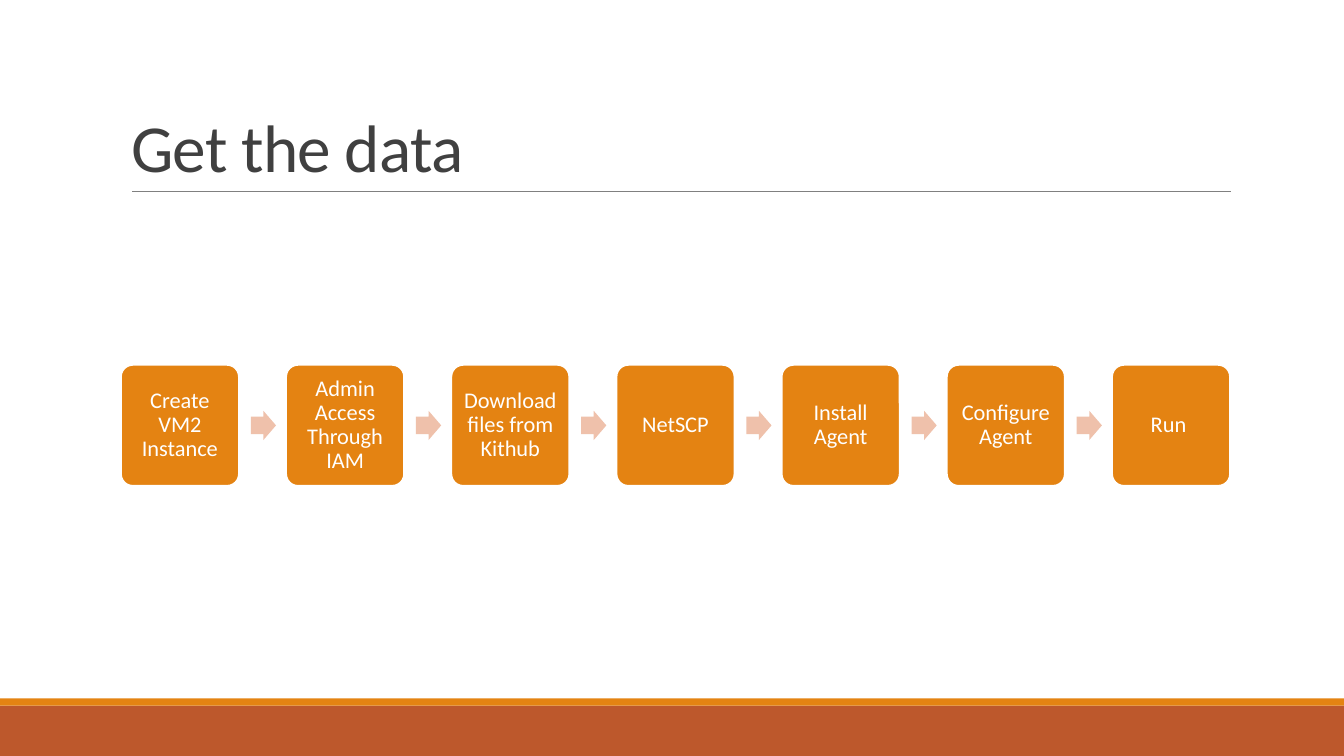
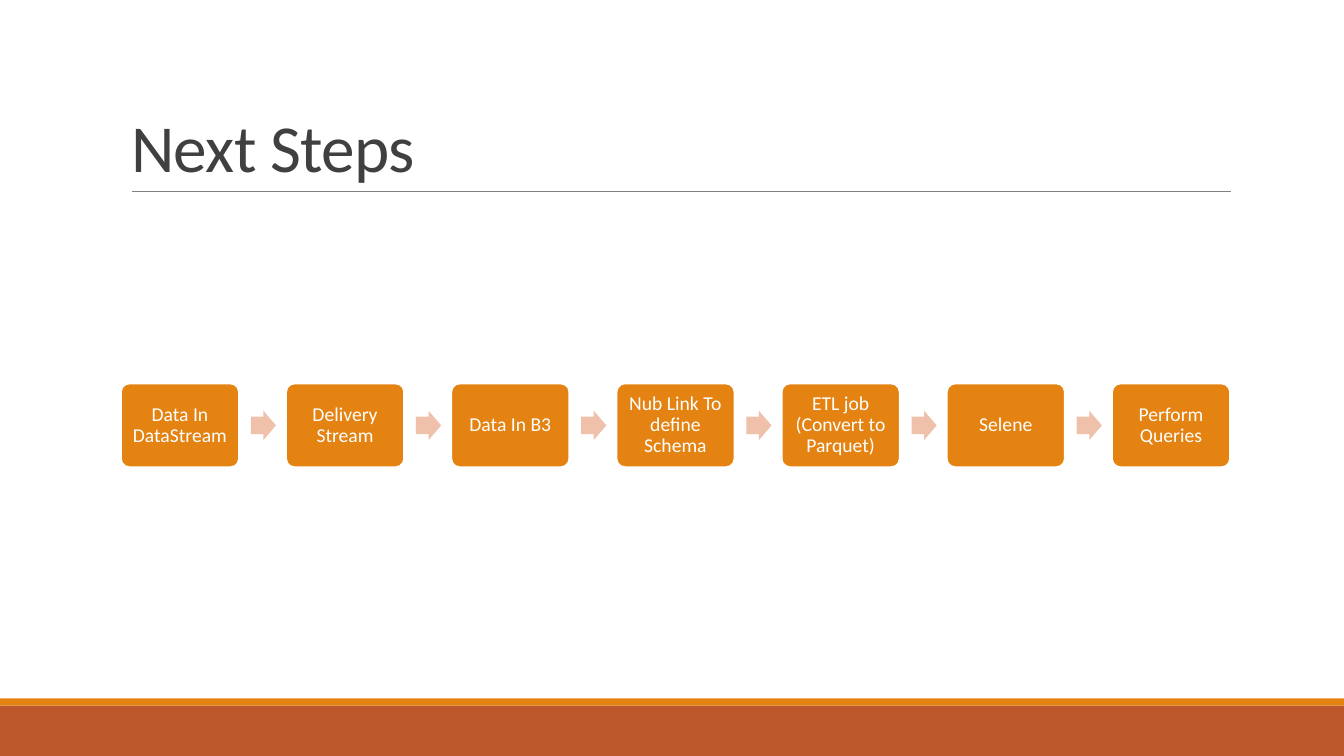
from lxml import etree
from pptx import Presentation
from pptx.dml.color import RGBColor
from pptx.enum.shapes import MSO_CONNECTOR, MSO_SHAPE
from pptx.enum.text import MSO_ANCHOR, MSO_AUTO_SIZE, PP_ALIGN
from pptx.oxml.ns import qn
from pptx.util import Inches, Pt

RECTANGLE = MSO_SHAPE.RECTANGLE
ROUNDED = MSO_SHAPE.ROUNDED_RECTANGLE
ARROW = MSO_SHAPE.RIGHT_ARROW
TITLE_ONLY = 5

# Each flow: title, box height, text size, box margin, steps
FLOWS = [
    ("Get the data", 1.2, 16, 0.07, [
        "Create VM2 Instance",
        "Admin Access Through IAM",
        "Download files from Kithub",
        "NetSCP",
        "Install Agent",
        "Configure Agent",
        "Run ",
    ]),
    ("Next Steps", 0.83, 14, 0.06, [
        "Data In DataStream",
        "Delivery Stream",
        "Data In B3",
        "Nub Link To define Schema",
        "ETL job (Convert to Parquet)",
        "Selene",
        "Perform Queries",
    ]),
]

FONT = "Calibri"
WHITE, ORANGE, RUST, PEACH = "FFFFFF", "E48312", "BD582C", "EFC1AB"
TITLE_COLOR, RULE_COLOR = "404040", "808080"

SLIDE_WIDTH, SLIDE_HEIGHT = 13.33, 7.5
LEFT, CONTENT_WIDTH = 1.2, 11
TITLE_TOP, TITLE_HEIGHT = 0.31, 1.59
RULE_LEFT, RULE_RIGHT = 1.31, 12.21
BAND_HEIGHT, STRIPE_HEIGHT = 0.5, 0.07
FLOW_MIDDLE = 4.22
GAP_SHARE = 0.4  # gap between boxes, as a share of the box width
ARROW_WIDTH, ARROW_HEIGHT = 0.25, 0.29


def color(value):
    return RGBColor.from_string(value)


def add_filled(slide, kind, left, top, width, height, fill):
    shape = slide.shapes.add_shape(
        kind, Inches(left), Inches(top), Inches(width), Inches(height))
    shape.shadow.inherit = False
    shape.fill.solid()
    shape.fill.fore_color.rgb = color(fill)
    shape.line.fill.background()
    return shape


def add_run(paragraph, text, size, text_color):
    run = paragraph.add_run()
    run.text = text
    run.font.name = FONT
    run.font.size = Pt(size)
    run.font.color.rgb = color(text_color)
    return run


def set_up_layout(layout, slide):
    """Place the title and move the bands and rule, drawn on slide, to the layout."""
    for placeholder in list(layout.placeholders):
        if placeholder.placeholder_format.idx:
            layout.shapes._spTree.remove(placeholder._element)
            continue
        placeholder.left, placeholder.top = Inches(LEFT), Inches(TITLE_TOP)
        placeholder.width = Inches(CONTENT_WIDTH)
        placeholder.height = Inches(TITLE_HEIGHT)
        placeholder.text_frame.vertical_anchor = MSO_ANCHOR.BOTTOM
        placeholder.text_frame.auto_size = MSO_AUTO_SIZE.NONE

    band_top = SLIDE_HEIGHT - BAND_HEIGHT
    band = add_filled(slide, RECTANGLE, 0, band_top,
                      SLIDE_WIDTH, BAND_HEIGHT, RUST)
    stripe = add_filled(slide, RECTANGLE, 0, band_top - STRIPE_HEIGHT,
                        SLIDE_WIDTH, STRIPE_HEIGHT, ORANGE)
    rule_top = Inches(TITLE_TOP + TITLE_HEIGHT)
    rule = slide.shapes.add_connector(
        MSO_CONNECTOR.STRAIGHT, Inches(RULE_LEFT), rule_top,
        Inches(RULE_RIGHT), rule_top)
    rule.line.color.rgb = color(RULE_COLOR)
    rule.line.width = Pt(0.5)
    etree.SubElement(rule._element.spPr, qn("a:effectLst"))
    for shape in (band, stripe, rule):
        layout.shapes._spTree.append(shape._element)


def add_title(slide, text):
    paragraph = slide.shapes.title.text_frame.paragraphs[0]
    paragraph.alignment = PP_ALIGN.LEFT
    paragraph.line_spacing = 0.85
    run = add_run(paragraph, text, 48, TITLE_COLOR)
    run.font._element.set("spc", "-50")


def add_step(slide, text, left, width, height, size, margin):
    box = add_filled(slide, ROUNDED, left, FLOW_MIDDLE - height / 2,
                     width, height, ORANGE)
    box.adjustments[0] = 0.1
    box.line.color.rgb = color(WHITE)
    box.line.width = Pt(1.25)
    frame = box.text_frame
    frame.word_wrap = True
    frame.vertical_anchor = MSO_ANCHOR.MIDDLE
    frame.margin_left = frame.margin_right = Inches(margin)
    frame.margin_top = frame.margin_bottom = Inches(margin)
    paragraph = frame.paragraphs[0]
    paragraph.alignment = PP_ALIGN.CENTER
    paragraph.line_spacing = 0.9
    add_run(paragraph, text, size, WHITE)


def add_flow(slide, steps, height, size, margin):
    """Spread the steps over the content width, with an arrow in each gap."""
    width = CONTENT_WIDTH / (len(steps) + GAP_SHARE * (len(steps) - 1))
    pitch = width * (1 + GAP_SHARE)
    for index, text in enumerate(steps):
        left = LEFT + index * pitch
        if index:
            arrow = add_filled(
                slide, ARROW, left - 0.3 * width,
                FLOW_MIDDLE - ARROW_HEIGHT / 2,
                ARROW_WIDTH, ARROW_HEIGHT, PEACH)
            arrow.adjustments[0] = 0.6
            arrow.adjustments[1] = 0.5
        add_step(slide, text, left, width, height, size, margin)


def main():
    presentation = Presentation()
    presentation.slide_width = Inches(SLIDE_WIDTH)
    presentation.slide_height = Inches(SLIDE_HEIGHT)
    layout = presentation.slide_layouts[TITLE_ONLY]
    for number, (title, height, size, margin, steps) in enumerate(FLOWS):
        slide = presentation.slides.add_slide(layout)
        if number == 0:
            set_up_layout(layout, slide)
        add_title(slide, title)
        add_flow(slide, steps, height, size, margin)
    presentation.save("out.pptx")


if __name__ == "__main__":
    main()
